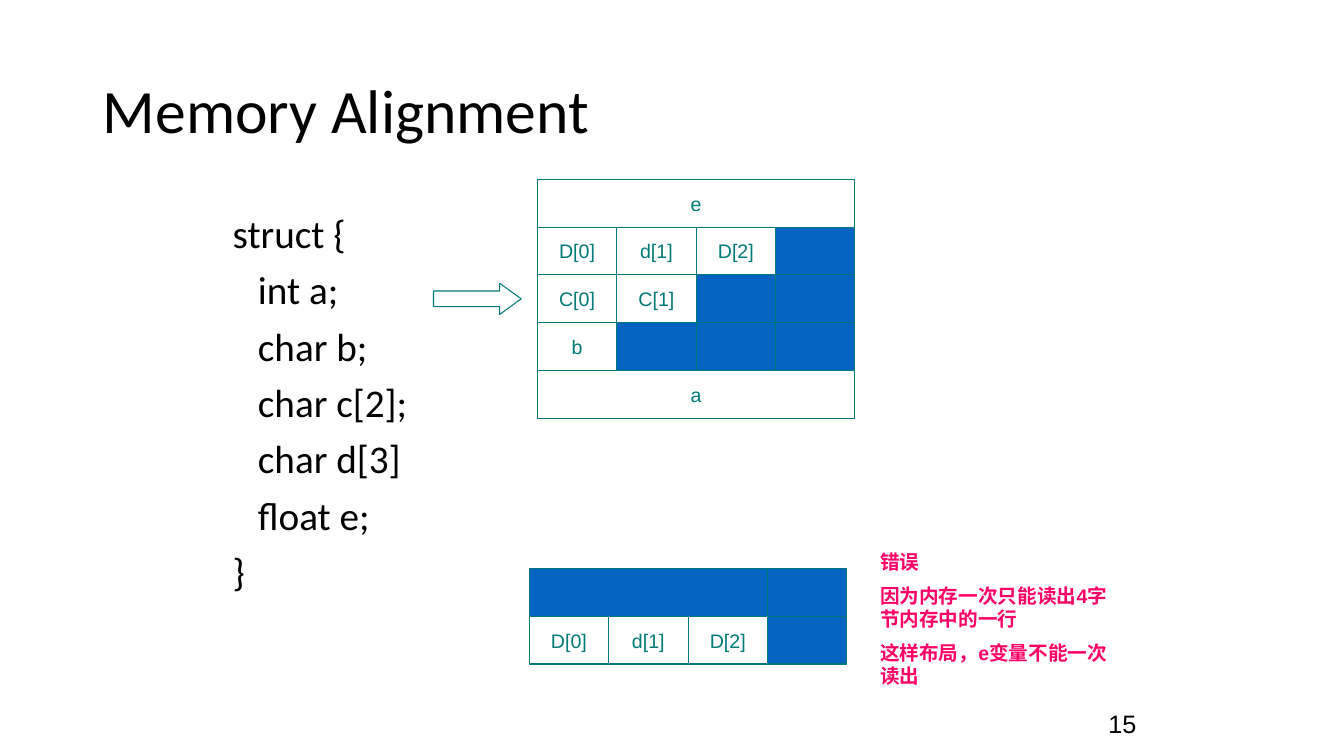
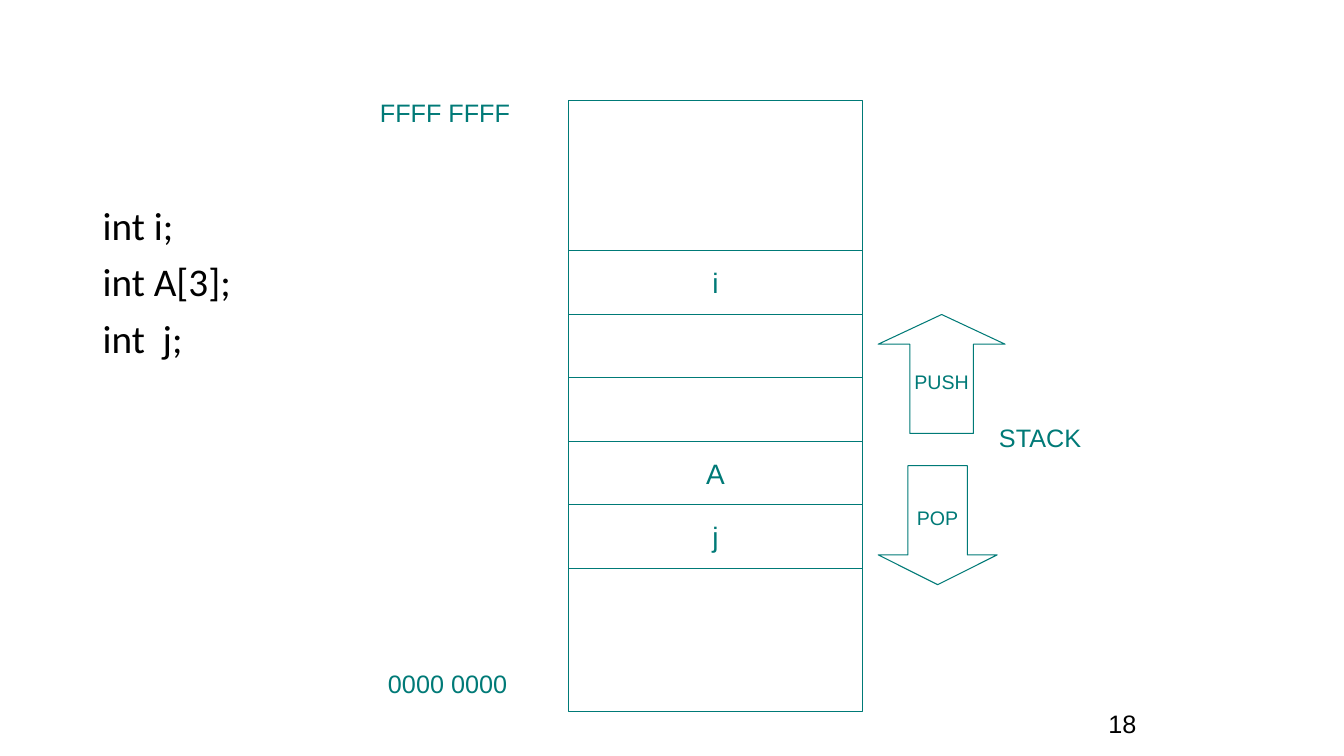
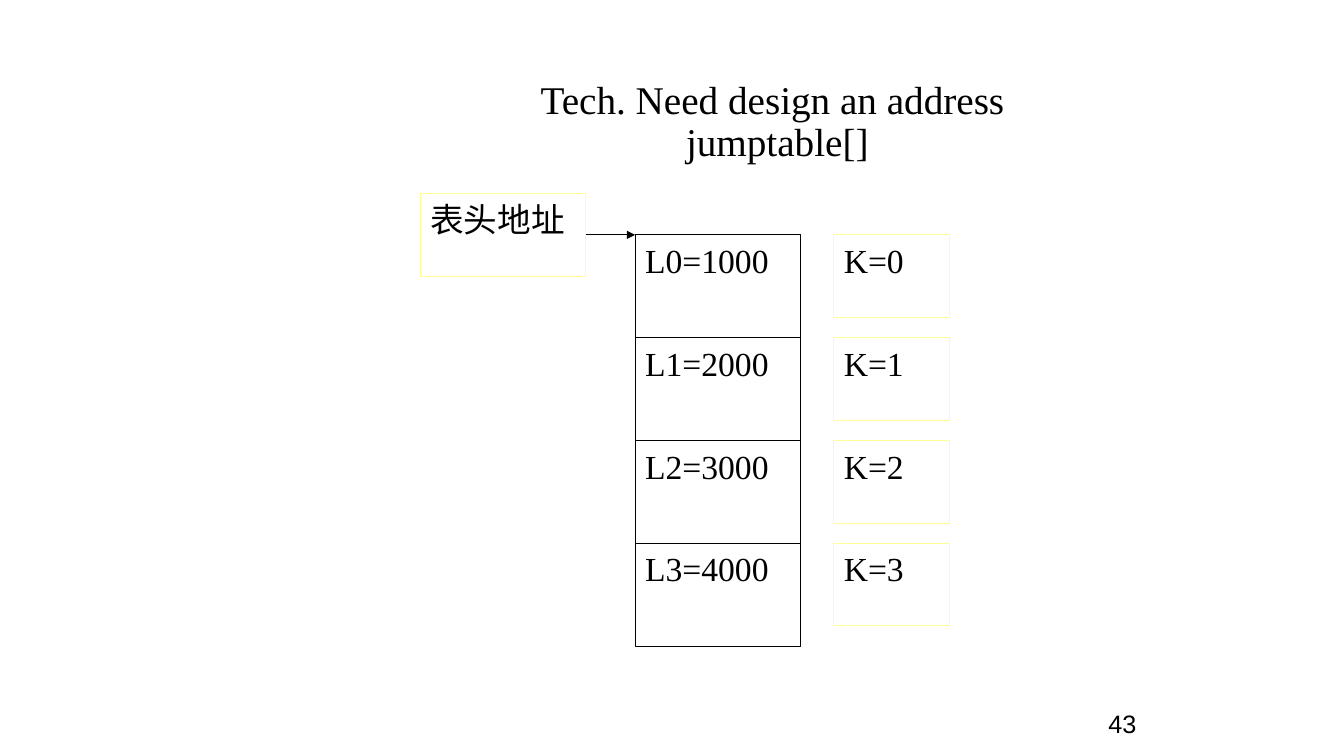
import dataclasses

import pptx
import pptx.dml.color
import pptx.enum.shapes
import pptx.enum.text
import pptx.oxml.ns
import pptx.util
from lxml import etree

Inches = pptx.util.Inches
Align = pptx.enum.text.PP_ALIGN
Anchor = pptx.enum.text.MSO_ANCHOR
Shapes = pptx.enum.shapes.MSO_SHAPE


@dataclasses.dataclass(frozen=True)
class Theme:
    black: str = "000000"
    white: str = "FFFFFF"
    teal: str = "007A77"
    blue: str = "0563C1"
    pink: str = "FF0066"
    yellow: str = "FFFF99"
    sans: str = "Arial"
    body: str = "Calibri"
    serif: str = "Times New Roman"
    title_size: int = 44
    body_size: int = 28
    table_size: int = 24
    stack_size: int = 20
    label_size: int = 18
    cell_size: int = 14
    line_width: float = 0.75
    title_spacing: float = 0.9


THEME = Theme()

STRUCT_LINES = [
    ("struct {", 0),
    ("int a;", 0.25),
    ("char b;", 0.25),
    ("char c[2];", 0.25),
    ("char d[3]", 0.25),
    ("float e;", 0.25),
    ("}", 0),
]
UNUSED = ("", 1)
ALIGNED_ROWS = [
    [("e", 4)],
    [("D[0]", 1), ("d[1]", 1), ("D[2]", 1), UNUSED],
    [("C[0]", 1), ("C[1]", 1), UNUSED, UNUSED],
    [("b", 1), UNUSED, UNUSED, UNUSED],
    [("a", 4)],
]
WRONG_ROWS = [
    [("", 3), UNUSED],
    [("D[0]", 1), ("d[1]", 1), ("D[2]", 1), UNUSED],
]
WRONG_NOTE = ["错误", "因为内存一次只能读出4字节内存中的一行", "这样布局，e变量不能一次读出"]

DECLARATIONS = ["int i;", "int A[3];", "int  j;"]
STACK_CELLS = ["i", "", "", "A", "j"]
STACK_LABELS = [
    ("FFFF FFFF", 3.67, 0.92, 1.57),
    ("0000 0000", 3.75, 6.58, 1.57),
    ("STACK", 9.81, 4.14, 1.34),
]
STACK_ARROWS = [
    ("PUSH", Shapes.UP_ARROW, 3.12, 1.26),
    ("POP", Shapes.DOWN_ARROW, 4.62, 1.18),
]

JUMP_TITLE = "Tech. Need design an address  jumptable[]"
JUMP_TABLE = [("L0=1000", "K=0"), ("L1=2000", "K=1"), ("L2=3000", "K=2"), ("L3=4000", "K=3")]


def rgb(value):
    return pptx.dml.color.RGBColor.from_string(value)


def write_text(frame, lines, *, font=THEME.sans, size=THEME.cell_size, color=THEME.black,
               bold=False, align=Align.LEFT, anchor=Anchor.TOP, wrap=True,
               line_spacing=1.0, gap=0):
    frame.word_wrap = wrap
    frame.auto_size = pptx.enum.text.MSO_AUTO_SIZE.NONE
    frame.vertical_anchor = anchor
    for index, line in enumerate(lines):
        text, indent = line if isinstance(line, tuple) else (line, 0)
        paragraph = frame.paragraphs[0] if index == 0 else frame.add_paragraph()
        paragraph.alignment = align
        paragraph.line_spacing = line_spacing
        paragraph.space_before = pptx.util.Pt(gap if index else 0)
        if indent:
            paragraph._p.get_or_add_pPr().set("marL", str(Inches(indent)))
        run = paragraph.add_run()
        run.text = text
        run.font.name = font
        run.font.size = pptx.util.Pt(size)
        run.font.bold = bold
        run.font.color.rgb = rgb(color)


def add_text(slide, lines, left, top, width, height, **text_format):
    box = slide.shapes.add_textbox(Inches(left), Inches(top), Inches(width), Inches(height))
    write_text(box.text_frame, lines, **text_format)


def add_box(slide, left, top, width, height, text="", *, kind=Shapes.RECTANGLE,
            fill=None, line=THEME.teal, **text_format):
    shape = slide.shapes.add_shape(kind, Inches(left), Inches(top), Inches(width), Inches(height))
    shape.shadow.inherit = False
    if fill:
        shape.fill.solid()
        shape.fill.fore_color.rgb = rgb(fill)
    else:
        shape.fill.background()
    shape.line.color.rgb = rgb(line)
    shape.line.width = pptx.util.Pt(THEME.line_width)
    if text:
        write_text(shape.text_frame, [text], **text_format)
    return shape


def add_slide(presentation, number, has_title):
    slide = presentation.slides.add_slide(presentation.slide_layouts[5 if has_title else 6])
    add_text(slide, [number], 8.87, 6.98, 2.5, 0.52, size=THEME.label_size, align=Align.RIGHT)
    return slide


def set_title(slide, line, left, top, width, height, **text_format):
    title = slide.shapes.title
    title.left, title.top = Inches(left), Inches(top)
    title.width, title.height = Inches(width), Inches(height)
    write_text(title.text_frame, [line], line_spacing=THEME.title_spacing, **text_format)


def add_code(slide, lines, left, top, width, height):
    add_text(slide, lines, left, top, width, height, font=THEME.body, size=THEME.body_size,
             line_spacing=THEME.title_spacing, gap=10)


LABEL = dict(color=THEME.teal, align=Align.CENTER, anchor=Anchor.MIDDLE, wrap=False)


def add_memory_map(slide, rows, left, top):
    cell_width, cell_height = 3.15 / 4, 2.37 / 5
    for row_index, row in enumerate(rows):
        column = 0
        for text, span in row:
            add_box(slide, left + column * cell_width, top + row_index * cell_height,
                    span * cell_width, cell_height, text,
                    fill=None if text else THEME.blue, **LABEL)
            column += span


def build_alignment(presentation):
    slide = add_slide(presentation, "15", True)
    set_title(slide, "Memory Alignment", 0.92, 0.4, 11.5, 1.45, font=THEME.body,
              size=THEME.title_size, anchor=Anchor.MIDDLE)
    add_code(slide, STRUCT_LINES, 2.21, 2.08, 2.88, 4.59)
    add_memory_map(slide, ALIGNED_ROWS, 5.33, 1.78)
    add_memory_map(slide, WRONG_ROWS, 5.25, 5.64)
    arrow = add_box(slide, 4.3, 2.81, 0.87, 0.31, kind=Shapes.RIGHT_ARROW)
    arrow.adjustments[1] = 0.69
    add_text(slide, WRONG_NOTE, 8.63, 5.41, 2.6, 1.51, color=THEME.pink, bold=True, gap=7)


def build_stack(presentation):
    slide = add_slide(presentation, "18", False)
    add_code(slide, DECLARATIONS, 0.92, 2, 11.5, 4.76)
    left, width, cell_height = 5.64, 2.91, 0.63
    add_box(slide, left, 1, width, 6.06)
    for index, text in enumerate(STACK_CELLS):
        add_box(slide, left, 2.49 + index * cell_height, width, cell_height, text,
                size=THEME.stack_size, **LABEL)
    for text, kind, top, arrow_width in STACK_ARROWS:
        arrow = add_box(slide, 8.71, top, arrow_width, 1.18, text, kind=kind, **LABEL)
        arrow.adjustments[0] = 0.5
        arrow.adjustments[1] = 0.25
    for text, label_left, top, label_width in STACK_LABELS:
        add_text(slide, [text], label_left, top, label_width, 0.4,
                 size=THEME.label_size, color=THEME.teal)


def build_jump_table(presentation):
    slide = add_slide(presentation, "43", True)
    set_title(slide, (JUMP_TITLE, 0.5), 4.17, 0.75, 6.58, 1.6,
              font=THEME.serif, size=THEME.body_size, align=Align.CENTER)
    entry = dict(fill=THEME.white, font=THEME.serif, size=THEME.table_size, align=Align.JUSTIFY)
    left, top, row_height, label_height = 6.3, 2.33, 1.02, 0.82
    for index, (address, key) in enumerate(JUMP_TABLE):
        row_top = top + index * row_height
        add_box(slide, left, row_top, 1.64, row_height, address, line=THEME.black, **entry)
        add_box(slide, 8.27, row_top, 1.15, label_height, key, line=THEME.yellow, **entry)
    header = add_box(slide, 4.17, top - label_height / 2, 1.64, label_height, "表头地址",
                     line=THEME.yellow, **entry)
    pointer = slide.shapes.add_connector(
        pptx.enum.shapes.MSO_CONNECTOR.STRAIGHT,
        header.left + header.width, Inches(top), Inches(left), Inches(top))
    pointer.begin_connect(header, 3)
    pointer.line.color.rgb = rgb(THEME.black)
    pointer.line.width = pptx.util.Pt(THEME.line_width)
    qn = pptx.oxml.ns.qn
    etree.SubElement(pointer.line._get_or_add_ln(), qn("a:tailEnd"), type="triangle")
    etree.SubElement(pointer._element.spPr, qn("a:effectLst"))


def main():
    presentation = pptx.Presentation()
    presentation.slide_width = Inches(13.33)
    presentation.slide_height = Inches(7.5)
    build_alignment(presentation)
    build_stack(presentation)
    build_jump_table(presentation)
    presentation.save("out.pptx")


if __name__ == "__main__":
    main()
